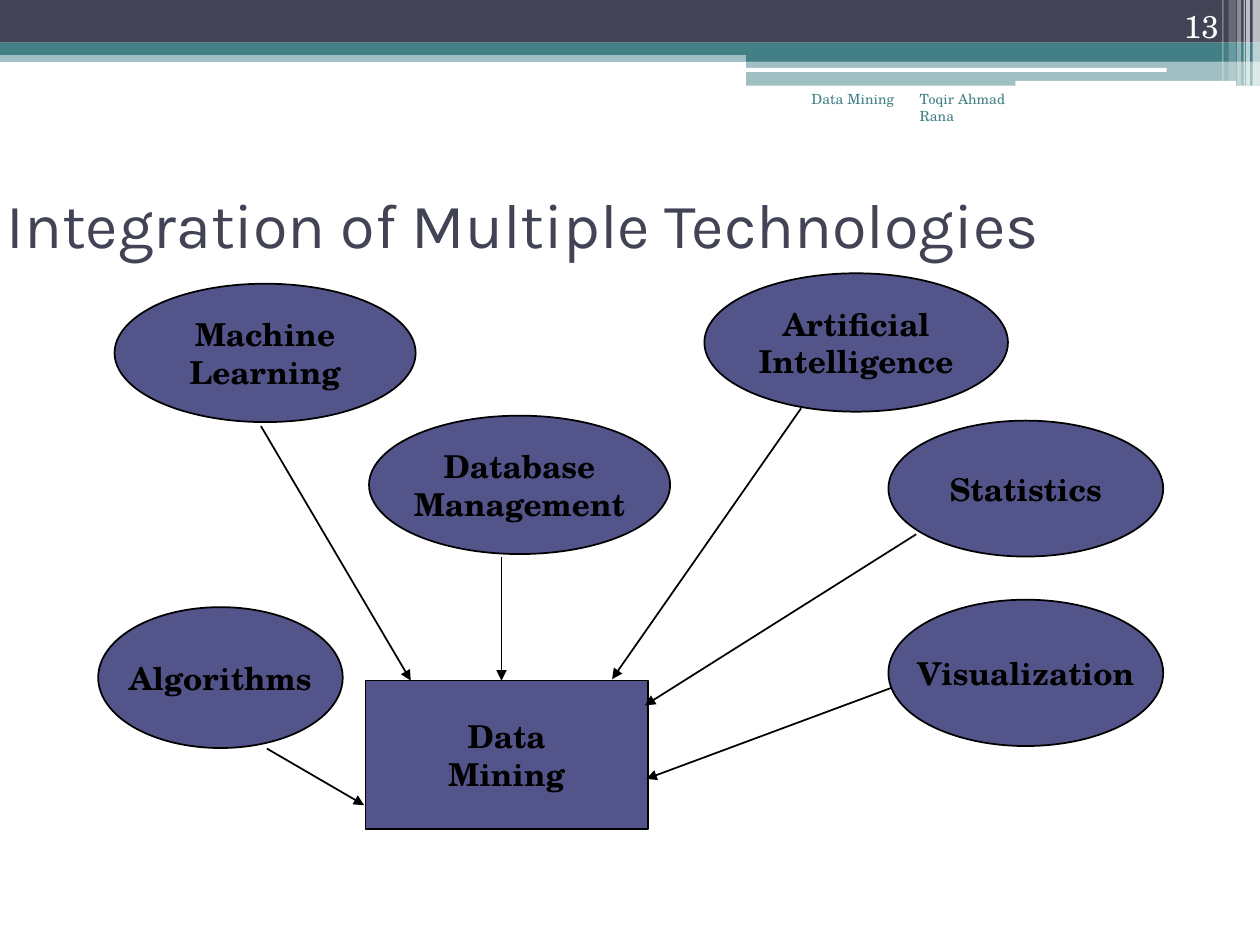
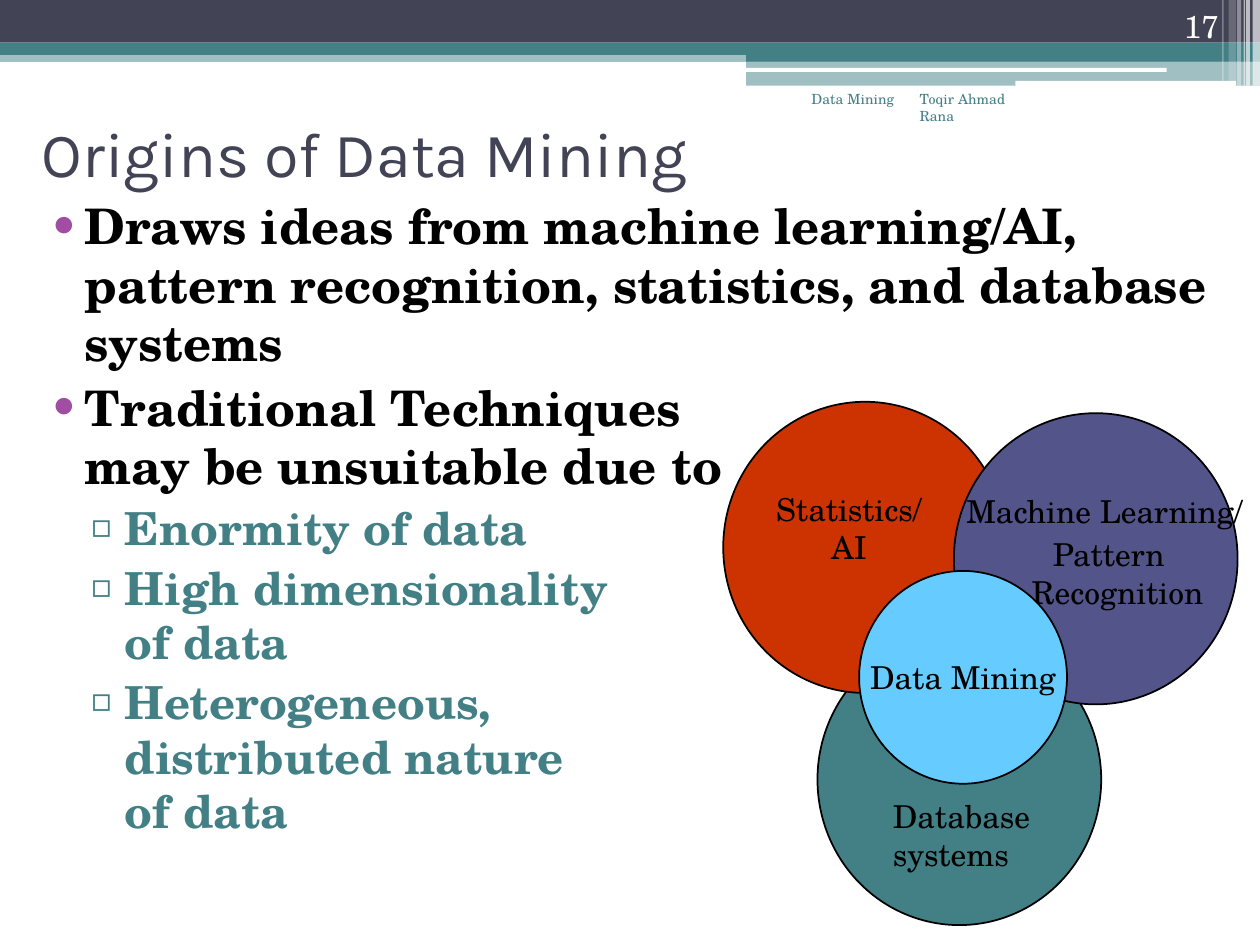
"""Builds two slides on the technologies behind data mining and its origins."""
from copy import deepcopy

from lxml import etree
from pptx import Presentation
from pptx.dml.color import RGBColor
from pptx.enum.shapes import MSO_CONNECTOR, MSO_SHAPE
from pptx.enum.text import MSO_ANCHOR, MSO_AUTO_SIZE, PP_ALIGN
from pptx.oxml.ns import qn
from pptx.util import Cm, Pt

RECTANGLE, ROUNDED, OVAL = MSO_SHAPE.RECTANGLE, MSO_SHAPE.ROUNDED_RECTANGLE, MSO_SHAPE.OVAL
LEFT, CENTER, RIGHT = PP_ALIGN.LEFT, PP_ALIGN.CENTER, PP_ALIGN.RIGHT
TOP, MIDDLE, BOTTOM = MSO_ANCHOR.TOP, MSO_ANCHOR.MIDDLE, MSO_ANCHOR.BOTTOM
STRAIGHT, NO_AUTOFIT = MSO_CONNECTOR.STRAIGHT, MSO_AUTO_SIZE.NONE

SLATE = RGBColor(0x42, 0x44, 0x56)
TEAL = RGBColor(0x43, 0x80, 0x86)
INDIGO = RGBColor(0x53, 0x54, 0x8A)
RED = RGBColor(0xCC, 0x33, 0x00)
SKY = RGBColor(0x66, 0xCC, 0xFF)
PURPLE = RGBColor(0xA0, 0x4D, 0xA3)
BLACK = RGBColor(0, 0, 0)
WHITE = RGBColor(0xFF, 0xFF, 0xFF)

HEADING_FONT, TEXT_FONT = "Karla", "TeX Gyre Schola"
SLIDE_WIDTH, SLIDE_HEIGHT = 25.4, 19.05

BANDS = [
    (RECTANGLE, (0, 1.02, SLIDE_WIDTH, 0.23), TEAL, 50),
    (RECTANGLE, (0, 0, SLIDE_WIDTH, 0.86), SLATE, 100),
    (RECTANGLE, (0, 0.86, SLIDE_WIDTH, 0.25), TEAL, 100),
    (RECTANGLE, (15.04, 0.99, 10.36, 0.25), TEAL, 100),
    (RECTANGLE, (15.04, 1.22, 10.36, 0.51), TEAL, 50),
    (ROUNDED, (15.01, 1.37, 8.51, 0.08), WHITE, 100),
    (ROUNDED, (20.47, 1.63, 4.45, 0.1), WHITE, 100),
]
STRIPES = [
    (25.25, 0.15, 1.73, 65), (25.12, 0.08, 1.73, 65), (25.07, 0.03, 1.73, 60),
    (24.94, 0.08, 1.73, 40), (24.77, 0.15, 1.63, 20), (24.64, 0.03, 1.63, 30),
]
BANDS += [(RECTANGLE, (left, 0, width, height), WHITE, opacity)
          for left, width, height, opacity in STRIPES]

FOOTERS = [
    ("Toqir Ahmad Rana", (18.29, 1.7, 2.67, 1.27), LEFT),
    ("Data Mining", (14.6, 1.7, 3.68, 1.27), RIGHT),
]
NUMBER_BOX = (22.71, 0, 2.11, 1.02)

TITLE_FORMAT = {"name": HEADING_FONT, "size": Pt(36), "bold": False}
FOOTER_FORMAT = {"name": TEXT_FONT, "size": Pt(8)}
LABEL_FORMAT = {"name": TEXT_FONT, "size": Pt(18)}
STRONG_FORMAT = {**LABEL_FORMAT, "bold": True}

INTEGRATION_TITLE = {
    "text": "Integration of Multiple Technologies",
    "box": (0, 2.34, 22.86, 2.97), "anchor": BOTTOM, "insets": (0.13, 0.05),
}
TECHNOLOGIES = [
    (OVAL, ["Machine", "Learning"], (2.31, 5.72, 6.07, 2.79)),
    (OVAL, ["Database", "Management"], (7.44, 8.38, 6.07, 2.79)),
    (OVAL, ["Artificial", "Intelligence"], (14.2, 5.51, 6.12, 2.79)),
    (OVAL, ["Statistics"], (17.91, 8.48, 5.54, 2.74)),
    (RECTANGLE, ["Data", "Mining"], (7.37, 13.72, 5.69, 3)),
    (OVAL, ["Visualization"], (17.91, 12.09, 5.54, 2.95)),
    (OVAL, ["Algorithms"], (1.98, 12.24, 4.93, 2.84)),
]
ARROWS = [
    (5.26, 8.59, 8.28, 13.72),
    (10.11, 11.23, 10.11, 13.72),
    (16.15, 8.23, 12.34, 13.69),
    (18.47, 10.77, 13, 14.22),
    (17.96, 13.87, 13.03, 15.7),
    (5.38, 15.09, 7.34, 16.23),
]

ORIGINS_TITLE = {
    "text": "Origins of Data Mining",
    "box": (0.84, 2.34, 23.01, 1.47), "anchor": MIDDLE, "insets": (0, 0.13),
}
BODY_BOX = (0.43, 3.81, 24.56, 15.24)
POINTS = [
    (0, "Draws ideas from machine learning/AI, pattern recognition, statistics, "
        "and database systems"),
    (0, "Traditional Techniques\nmay be unsuitable due to"),
    (1, "Enormity of data"),
    (1, "High dimensionality \nof data"),
    (1, "Heterogeneous, \ndistributed nature \nof data"),
]
LEVELS = [
    {"size": Pt(28), "color": BLACK, "bullet": "•", "bullet_color": PURPLE,
     "margin": 1.02, "indent": -0.71},
    {"size": Pt(26), "color": TEAL, "bullet": "▫", "bullet_color": TEAL,
     "margin": 1.83, "indent": -0.69},
]
FIELD_SIZE = (5.72, 5.87)
FIELDS = [
    ((16.48, 12.78), TEAL),
    ((14.58, 8.1), RED),
    ((19.23, 8.33), INDIGO),
]
CORE_BOX = (17.32, 11.51, 4.19, 4.29)
UPPER_LABELS = [
    ([("Machine Learning/", LEFT), ("Pattern \n Recognition", CENTER)],
     (19.48, 9.8, 5.92, 2.67), 0),
    ([("Statistics/\nAI", CENTER)], (15.21, 9.75, 3.81, 1.78), 0.25),
]
LOWER_LABEL = ([("Database systems", LEFT)], (17.75, 15.95, 4.01, 1.78), 0.25)


def lengths(values):
    return [Cm(value) for value in values]


def set_attributes(target, values):
    for name, value in values.items():
        setattr(target, name, value)


def write(paragraph, text, text_format, color, alignment=LEFT):
    paragraph.text = text
    paragraph.alignment = alignment
    for run in paragraph.runs:
        set_attributes(run.font, text_format)
        run.font.color.rgb = color
    properties = paragraph.runs[0].font._element
    for line_break in paragraph._p.findall(qn("a:br")):
        line_break.insert(0, deepcopy(properties))


def write_all(text_frame, lines, text_format, color):
    for index, (text, alignment) in enumerate(lines):
        paragraph = text_frame.add_paragraph() if index else text_frame.paragraphs[0]
        paragraph.space_before = Pt(3 if index and alignment != lines[0][1] else 0)
        write(paragraph, text, text_format, color, alignment)


def add_filled(slide, kind, box, color, opacity=100, outlined=False):
    shape = slide.shapes.add_shape(kind, *lengths(box))
    shape.shadow.inherit = False
    shape.fill.solid()
    shape.fill.fore_color.rgb = color
    if opacity < 100:
        color_element = shape._element.spPr.find(".//" + qn("a:srgbClr"))
        etree.SubElement(color_element, qn("a:alpha"), val=str(opacity * 1000))
    if outlined:
        shape.line.color.rgb = BLACK
        shape.line.width = Pt(1)
    else:
        shape.line.fill.background()
    return shape


def add_node(slide, kind, lines, box, color, text_format):
    shape = add_filled(slide, kind, box, color, outlined=True)
    set_attributes(shape.text_frame, {"word_wrap": False, "vertical_anchor": MIDDLE})
    write_all(shape.text_frame, [(line, CENTER) for line in lines], text_format, BLACK)


def add_label(slide, lines, box, text_format, color, inset=0.25, anchor=TOP):
    text_frame = slide.shapes.add_textbox(*lengths(box)).text_frame
    set_attributes(text_frame, {
        "word_wrap": True, "vertical_anchor": anchor,
        "margin_left": Cm(inset), "margin_right": Cm(inset),
    })
    write_all(text_frame, lines, text_format, color)


def add_arrow(slide, ends):
    connector = slide.shapes.add_connector(STRAIGHT, *lengths(ends))
    connector.line.color.rgb = BLACK
    connector.line.width = Pt(1)
    properties = connector._element.spPr
    etree.SubElement(properties.find(qn("a:ln")), qn("a:tailEnd"), type="triangle")
    etree.SubElement(properties, qn("a:effectLst"))


def place(placeholder, box):
    names = ("left", "top", "width", "height")
    set_attributes(placeholder, dict(zip(names, lengths(box))))
    placeholder.text_frame.auto_size = NO_AUTOFIT


def add_slide(presentation, layout_index, title, number):
    slide = presentation.slides.add_slide(presentation.slide_layouts[layout_index])
    for kind, box, color, opacity in BANDS:
        add_filled(slide, kind, box, color, opacity)
    place(slide.shapes.title, title["box"])
    text_frame = slide.shapes.title.text_frame
    side, end = lengths(title["insets"])
    set_attributes(text_frame, {
        "vertical_anchor": title["anchor"], "margin_left": side, "margin_right": side,
        "margin_top": end, "margin_bottom": end,
    })
    write(text_frame.paragraphs[0], title["text"], TITLE_FORMAT, SLATE)
    for text, box, alignment in FOOTERS:
        add_label(slide, [(text, alignment)], box, FOOTER_FORMAT, TEAL)
    add_label(slide, [(number, RIGHT)], NUMBER_BOX, LABEL_FORMAT, WHITE, anchor=BOTTOM)
    return slide


def add_points(placeholder):
    place(placeholder, BODY_BOX)
    text_frame = placeholder.text_frame
    for index, (level, text) in enumerate(POINTS):
        style = LEVELS[level]
        paragraph = text_frame.add_paragraph() if index else text_frame.paragraphs[0]
        write(paragraph, text, {**STRONG_FORMAT, "size": style["size"]}, style["color"])
        set_attributes(paragraph, {"level": level, "space_before": Pt(3)})
        properties = paragraph._p.get_or_add_pPr()
        properties.set("marL", str(Cm(style["margin"])))
        properties.set("indent", str(Cm(style["indent"])))
        bullet_color = etree.SubElement(properties, qn("a:buClr"))
        etree.SubElement(bullet_color, qn("a:srgbClr"), val=str(style["bullet_color"]))
        etree.SubElement(properties, qn("a:buFont"), typeface=TEXT_FONT)
        etree.SubElement(properties, qn("a:buChar"), char=style["bullet"])


def build_integration(presentation):
    slide = add_slide(presentation, 5, INTEGRATION_TITLE, "13")
    for kind, lines, box in TECHNOLOGIES:
        add_node(slide, kind, lines, box, INDIGO, STRONG_FORMAT)
    for ends in ARROWS:
        add_arrow(slide, ends)


def build_origins(presentation):
    slide = add_slide(presentation, 1, ORIGINS_TITLE, "17")
    add_points(slide.placeholders[1])
    for corner, color in FIELDS:
        add_filled(slide, OVAL, corner + FIELD_SIZE, color, outlined=True)
    for lines, box, inset in UPPER_LABELS:
        add_label(slide, lines, box, LABEL_FORMAT, BLACK, inset)
    add_node(slide, OVAL, ["Data Mining"], CORE_BOX, SKY, LABEL_FORMAT)
    lines, box, inset = LOWER_LABEL
    add_label(slide, lines, box, LABEL_FORMAT, BLACK, inset)


def main():
    presentation = Presentation()
    presentation.slide_width, presentation.slide_height = lengths((SLIDE_WIDTH, SLIDE_HEIGHT))
    build_integration(presentation)
    build_origins(presentation)
    presentation.save("out.pptx")


if __name__ == "__main__":
    main()
